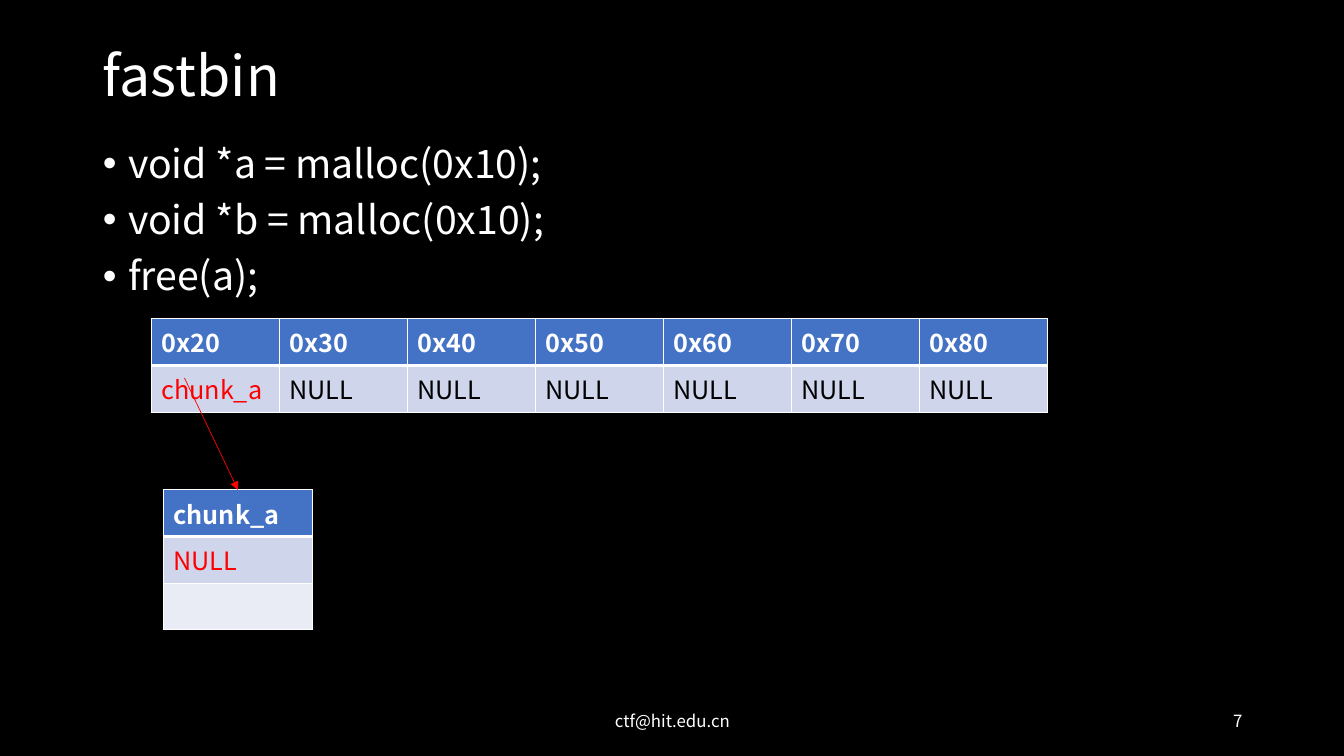
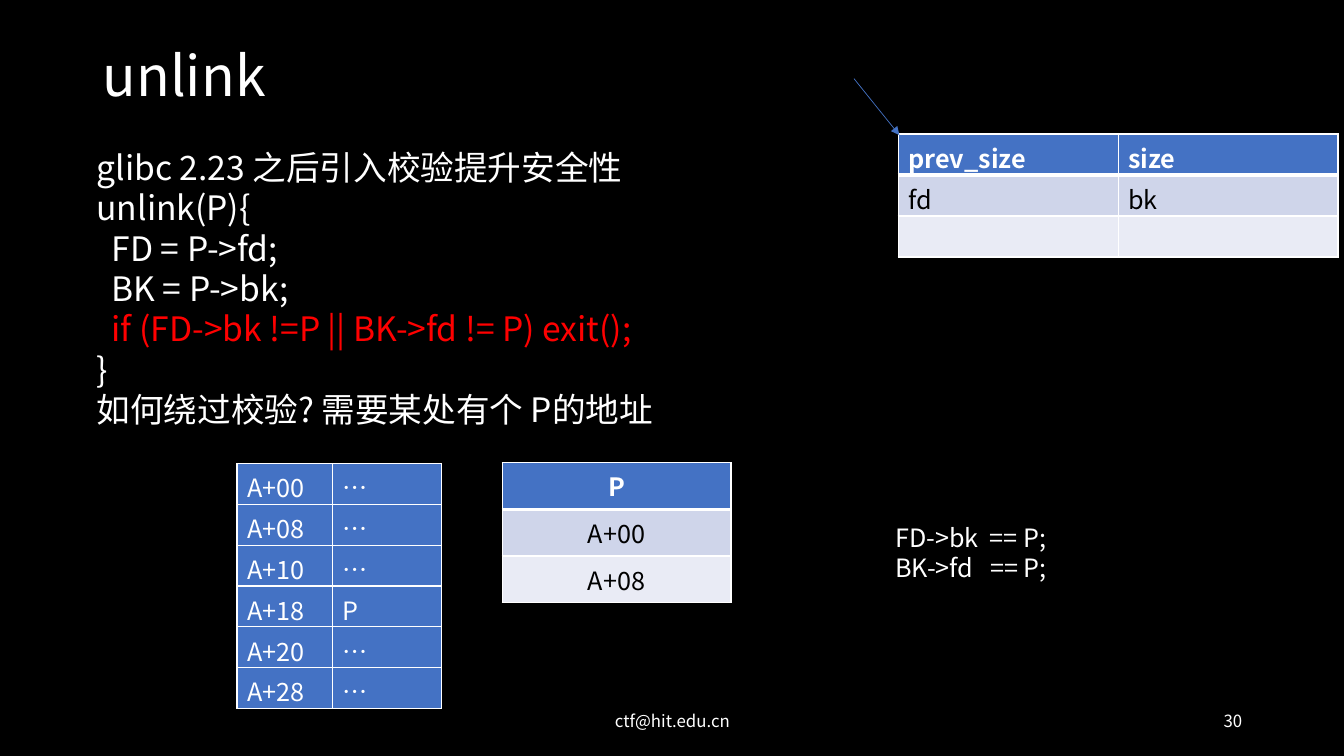
from lxml import etree
from pptx import Presentation
from pptx.dml.color import RGBColor
from pptx.enum.shapes import MSO_CONNECTOR
from pptx.enum.text import MSO_ANCHOR, MSO_AUTO_SIZE, PP_ALIGN
from pptx.oxml.ns import qn
from pptx.util import Inches, Pt

LEFT, CENTER, RIGHT = PP_ALIGN.LEFT, PP_ALIGN.CENTER, PP_ALIGN.RIGHT
MIDDLE = MSO_ANCHOR.MIDDLE
NO_AUTOFIT = MSO_AUTO_SIZE.NONE
STRAIGHT = MSO_CONNECTOR.STRAIGHT

FONT = "Noto Sans CJK SC"
COLORS = {
    "background": "000000",
    "text": "FFFFFF",
    "dark": "000000",
    "alert": "FF0000",
    "header": "4472C4",
    "band": "CFD5EA",
    "light": "E9EBF5",
}
THIN, THICK = 1, 3


def write_run(para, text, size, color="text", bold=False):
    run = para.add_run()
    run.text = text
    run.font.size = Pt(size)
    run.font.bold = bold
    run.font.color.rgb = RGBColor.from_string(COLORS[color])
    run.font.name = FONT
    east_asian = etree.SubElement(run.font._element, qn("a:ea"))
    east_asian.set("typeface", FONT)


def add_grid(slide, left, top, widths, height, rows, fills,
             header=True, align=LEFT, alerts=(), bottom_margin=0.05):
    """Add a white-ruled table; alerts holds the (row, column) cells in red."""
    frame = slide.shapes.add_table(
        len(rows), len(widths), Inches(left), Inches(top),
        Inches(sum(widths)), Inches(height))
    table = frame.table
    table.first_row = header
    table.horz_banding = False
    for column, width in zip(table.columns, widths):
        column.width = Inches(width)
    for row_index, (texts, fill) in enumerate(zip(rows, fills)):
        table.rows[row_index].height = Inches(height / len(rows))
        is_header = header and row_index == 0
        below_header = header and row_index == 1
        for column_index, text in enumerate(texts):
            cell = table.cell(row_index, column_index)
            cell.margin_bottom = Inches(bottom_margin)
            cell.fill.solid()
            cell.fill.fore_color.rgb = RGBColor.from_string(COLORS[fill])
            borders = {
                "a:lnL": THIN,
                "a:lnR": THIN,
                "a:lnT": THICK if below_header else THIN,
                "a:lnB": THICK if is_header else THIN,
            }
            properties = cell._tc.get_or_add_tcPr()
            for position, (side, width) in enumerate(borders.items()):
                border = etree.Element(qn(side), w=str(Pt(width)))
                solid = etree.SubElement(border, qn("a:solidFill"))
                etree.SubElement(solid, qn("a:srgbClr"), val=COLORS["text"])
                properties.insert(position, border)
            if text:
                color = "text" if fill == "header" else "dark"
                if (row_index, column_index) in alerts:
                    color = "alert"
                para = cell.text_frame.paragraphs[0]
                para.alignment = align
                write_run(para, text, 18, color, is_header)


deck = Presentation()
deck.slide_width = Inches(13.33)
deck.slide_height = Inches(7.5)
background = deck.slide_master.background.fill
background.solid()
background.fore_color.rgb = RGBColor.from_string(COLORS["background"])

# Titles and footers
slides = []
for title, number, layout_index in [("fastbin", "7", 1), ("unlink", "30", 5)]:
    slide = deck.slides.add_slide(deck.slide_layouts[layout_index])
    slides.append(slide)
    box = slide.shapes.title
    box.left, box.top = Inches(0.92), Inches(0.4)
    box.width, box.height = Inches(11.5), Inches(0.75)
    box.text_frame.auto_size = NO_AUTOFIT
    box.text_frame.vertical_anchor = MIDDLE
    para = box.text_frame.paragraphs[0]
    para.alignment = LEFT
    para.line_spacing = 0.9
    write_run(para, title, 39.6)
    for text, left, width, align in [("ctf@hit.edu.cn", 4.42, 4.5, CENTER),
                                     (number, 9.42, 3, RIGHT)]:
        box = slide.shapes.add_textbox(
            Inches(left), Inches(6.95), Inches(width), Inches(0.4))
        box.text_frame.word_wrap = True
        box.text_frame.vertical_anchor = MIDDLE
        para = box.text_frame.paragraphs[0]
        para.alignment = align
        write_run(para, text, 12)
fastbin, unlink = slides

# fastbin: bulleted calls
body = fastbin.placeholders[1]
body.left, body.top = Inches(0.92), Inches(1.38)
body.width, body.height = Inches(11.5), Inches(1.78)
frame = body.text_frame
frame.auto_size = NO_AUTOFIT
calls = ["void *a = malloc(0x10);", "void *b = malloc(0x10);", "free(a);"]
for index, call in enumerate(calls):
    para = frame.add_paragraph() if index else frame.paragraphs[0]
    properties = para._p.get_or_add_pPr()
    properties.set("marL", str(Inches(0.25)))
    properties.set("indent", str(-Inches(0.25)))
    para.line_spacing = 0.9
    para.space_before = Pt(10 if index else 0)
    write_run(para, call, 28)

# unlink: source code and the check to pass
unlink_code = [
    ("glibc 2.23 之后引入校验提升安全性", "text"),
    ("unlink(P){", "text"),
    ("  FD = P->fd;", "text"),
    ("  BK = P->bk;", "text"),
    ("  if (FD->bk !=P || BK->fd != P) exit();", "alert"),
    ("}", "text"),
    ("如何绕过校验? 需要某处有个 P的地址", "text"),
]
check_code = [("FD->bk  == P;", "text"), ("BK->fd   == P;", "text")]
for lines, size, left, top, width, height in [
        (unlink_code, 24, 0.86, 1.41, 11.62, 2.93),
        (check_code, 18, 8.78, 5.13, 3.43, 0.71)]:
    box = unlink.shapes.add_textbox(
        Inches(left), Inches(top), Inches(width), Inches(height))
    frame = box.text_frame
    frame.word_wrap = True
    for index, (line, color) in enumerate(lines):
        para = frame.add_paragraph() if index else frame.paragraphs[0]
        write_run(para, line, size, color)

# Tables
banded = ["header", "band", "light"]
bin_sizes = [f"0x{size}" for size in range(20, 90, 10)]
add_grid(fastbin, 1.5, 3.16, [1.27] * 7, 0.93,
         [bin_sizes, ["chunk_a"] + ["NULL"] * 6], banded, alerts=[(1, 0)])
add_grid(fastbin, 1.62, 4.86, [1.48], 1.39,
         [["chunk_a"], ["NULL"], [""]], banded, alerts=[(1, 0)])
add_grid(unlink, 4.98, 4.59, [2.27], 1.39,
         [["P"], ["A+00"], ["A+08"]], banded, align=CENTER)
memory = [[f"A+{offset:02x}", "P" if offset == 0x18 else "…"]
          for offset in range(0, 0x30, 8)]
add_grid(unlink, 2.35, 4.6, [0.95, 1.08], 2.43, memory,
         ["header"] * len(memory), header=False, bottom_margin=0)
add_grid(unlink, 8.91, 1.33, [2.18, 2.18], 1.22,
         [["prev_size", "size"], ["fd", "bk"], ["", ""]], banded,
         bottom_margin=0)

# Pointer arrows
for slide, start, end, color in [
        (fastbin, (1.83, 3.75), (2.36, 4.86), "alert"),
        (unlink, (8.47, 0.78), (8.92, 1.34), "header")]:
    arrow = slide.shapes.add_connector(
        STRAIGHT, *(Inches(value) for value in start + end))
    arrow.line.width = Pt(0.5)
    arrow.line.color.rgb = RGBColor.from_string(COLORS[color])
    etree.SubElement(arrow.line._get_or_add_ln(), qn("a:tailEnd"),
                     type="triangle")
    etree.SubElement(arrow._element.spPr, qn("a:effectLst"))

deck.save("out.pptx")
